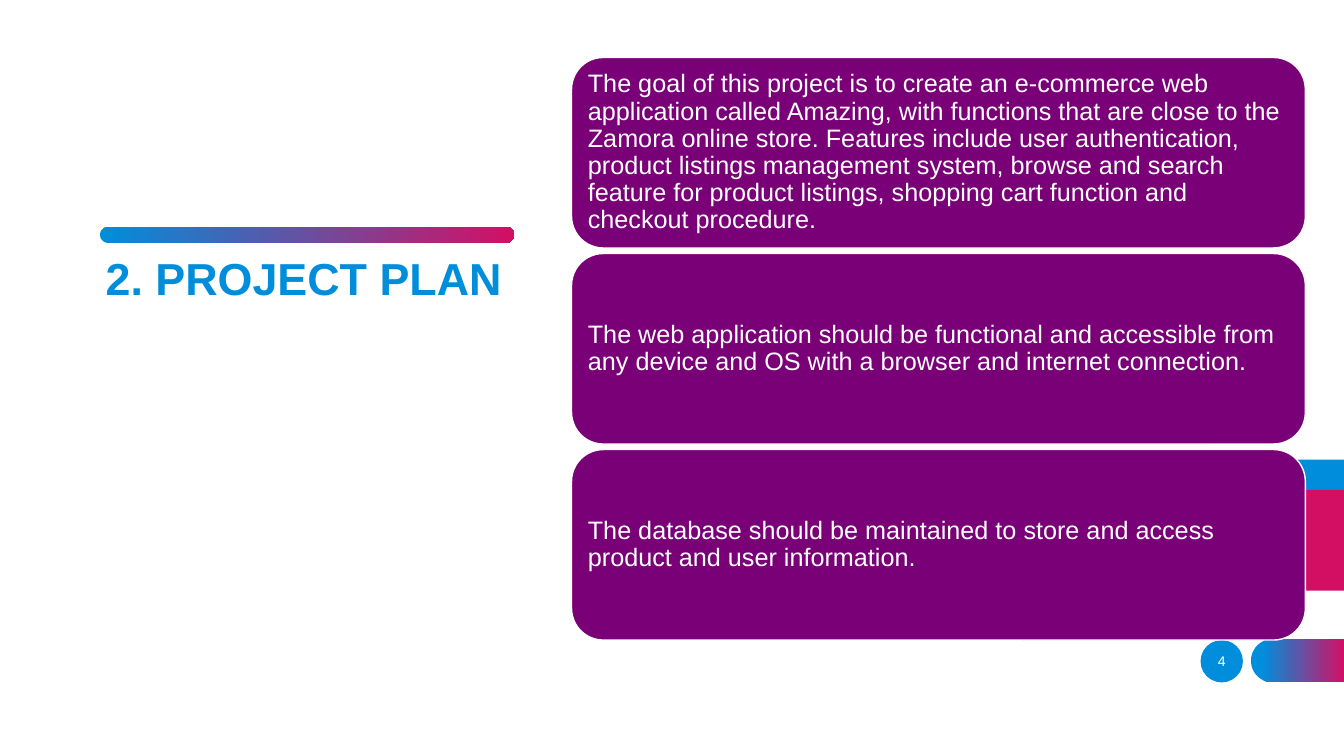
import math
from dataclasses import dataclass

from pptx import Presentation
from pptx import util as u
from pptx.dml.color import RGBColor
from pptx.enum import shapes, text

COLORS = {
    "blue": "008EDC",
    "crimson": "D30F64",
    "purple": "7A0078",
    "white": "FFFFFF",
}
FONT = "Arial"
SLIDE_WIDTH, SLIDE_HEIGHT = u.Inches(13.33), u.Inches(7.5)
COLUMNS, ROWS = 160, 90
ARC_STEPS = 24

GOALS = [
    "The goal of this project is to create an e-commerce web application called "
    "Amazing, with functions that are close to the Zamora online store. Features "
    "include user authentication, product listings management system, browse and "
    "search feature for product listings, shopping cart function and checkout "
    "procedure.",
    "The web application should be functional and accessible from any device and "
    "OS with a browser and internet connection.",
    "The database should be maintained to store and access product and user "
    "information.",
]
CARD_TOP, CARD_HEIGHT, CARD_PITCH = 6.84, 22.68, 23.34


@dataclass(frozen=True)
class Area:
    """A rectangle in grid columns and rows."""
    column: float
    row: float
    columns: float
    rows: float

    def box(self) -> tuple[int, int, int, int]:
        return (across(self.column), down(self.row),
                across(self.columns), down(self.rows))


@dataclass(frozen=True)
class Tab:
    """A band that runs off the right edge, with a rounded left end."""
    area: Area
    colors: tuple[str, ...]
    first_stop: float = 0


@dataclass(frozen=True)
class Style:
    size: float
    color: str
    bold: bool = False
    align: text.PP_ALIGN = text.PP_ALIGN.LEFT
    anchor: text.MSO_ANCHOR = text.MSO_ANCHOR.MIDDLE
    spacing: float = 1.0


TABS = [
    Tab(Area(148.92, 76.08, 11.08, 5.16), ("blue", "crimson"), 0.12),
    Tab(Area(136.8, 54.72, 23.2, 6.96), ("blue",)),
    Tab(Area(113.04, 58.32, 46.96, 12), ("crimson",)),
]
TITLE_BAR = Area(11.88, 27, 49.32, 1.92)
TITLE = Area(11.4, 23.28, 51.6, 19.8)
PAGE_DISC = Area(142.92, 76.2, 5.04, 5.04)
PAGE_NUMBER = Area(141.84, 76.32, 7.2, 4.8)

TITLE_STYLE = Style(32, "blue", bold=True, anchor=text.MSO_ANCHOR.BOTTOM, spacing=0.9)
PAGE_STYLE = Style(10, "white", align=text.PP_ALIGN.CENTER)
CARD_STYLE = Style(18, "white", spacing=0.9)


def across(columns: float) -> int:
    return round(SLIDE_WIDTH * columns / COLUMNS)


def down(rows: float) -> int:
    return round(SLIDE_HEIGHT * rows / ROWS)


def rgb(name: str) -> RGBColor:
    return RGBColor.from_string(COLORS[name])


def paint(shape, colors: tuple[str, ...], first_stop: float = 0) -> None:
    """Fill with one colour, or with a left-to-right gradient of two."""
    shape.shadow.inherit = False
    shape.line.fill.background()
    if len(colors) == 1:
        shape.fill.solid()
        shape.fill.fore_color.rgb = rgb(colors[0])
        return
    shape.fill.gradient()
    shape.fill.gradient_angle = 0
    for stop, color, position in zip(shape.fill.gradient_stops, colors, (first_stop, 1)):
        stop.color.rgb = rgb(color)
        stop.position = position


def add_preset(slide, preset: shapes.MSO_SHAPE, area: Area, *colors: str):
    shape = slide.shapes.add_shape(preset, *area.box())
    paint(shape, colors)
    return shape


def add_tab(slide, tab: Tab) -> None:
    left, top, width, height = tab.area.box()
    radius = height / 2
    angles = [math.pi * (0.5 + step / ARC_STEPS) for step in range(ARC_STEPS + 1)]
    arc = [(round(left + radius * (1 + math.cos(angle))),
            round(top + radius * (1 - math.sin(angle)))) for angle in angles]
    outline = slide.shapes.build_freeform(left + width, top)
    outline.add_line_segments(arc + [(left + width, top + height)], close=True)
    paint(outline.convert_to_shape(), tab.colors, tab.first_stop)


def write(frame, words: str, style: Style) -> None:
    frame.word_wrap = True
    frame.vertical_anchor = style.anchor
    paragraph = frame.paragraphs[0]
    paragraph.alignment = style.align
    paragraph.line_spacing = style.spacing
    run = paragraph.add_run()
    run.text = words
    run.font.name = FONT
    run.font.size = u.Pt(style.size)
    run.font.bold = style.bold
    run.font.color.rgb = rgb(style.color)


def add_label(slide, area: Area, words: str, style: Style):
    frame = slide.shapes.add_textbox(*area.box()).text_frame
    write(frame, words, style)
    return frame


def add_card(slide, index: int, goal: str) -> None:
    area = Area(68.04, CARD_TOP + index * CARD_PITCH, 87.36, CARD_HEIGHT)
    card = add_preset(slide, shapes.MSO_SHAPE.ROUNDED_RECTANGLE, area, "purple")
    card.line.color.rgb = rgb("white")
    card.line.width = u.Pt(1)
    frame = card.text_frame
    frame.margin_left = frame.margin_right = across(0.84)
    frame.margin_top = frame.margin_bottom = down(0.84)
    write(frame, goal, CARD_STYLE)


def main() -> None:
    deck = Presentation()
    deck.slide_width, deck.slide_height = SLIDE_WIDTH, SLIDE_HEIGHT
    slide = deck.slides.add_slide(deck.slide_layouts[6])

    add_preset(slide, shapes.MSO_SHAPE.OVAL, PAGE_DISC, "blue")
    for tab in TABS:
        add_tab(slide, tab)
    title_bar = add_preset(slide, shapes.MSO_SHAPE.ROUNDED_RECTANGLE, TITLE_BAR,
                           "blue", "crimson")
    title_bar.adjustments[0] = 0.5

    add_label(slide, PAGE_NUMBER, "4", PAGE_STYLE)
    title = add_label(slide, TITLE, "2. PROJECT PLAN", TITLE_STYLE)
    title.margin_bottom = down(6.72)

    for index, goal in enumerate(GOALS):
        add_card(slide, index, goal)

    deck.save("out.pptx")


if __name__ == "__main__":
    main()
